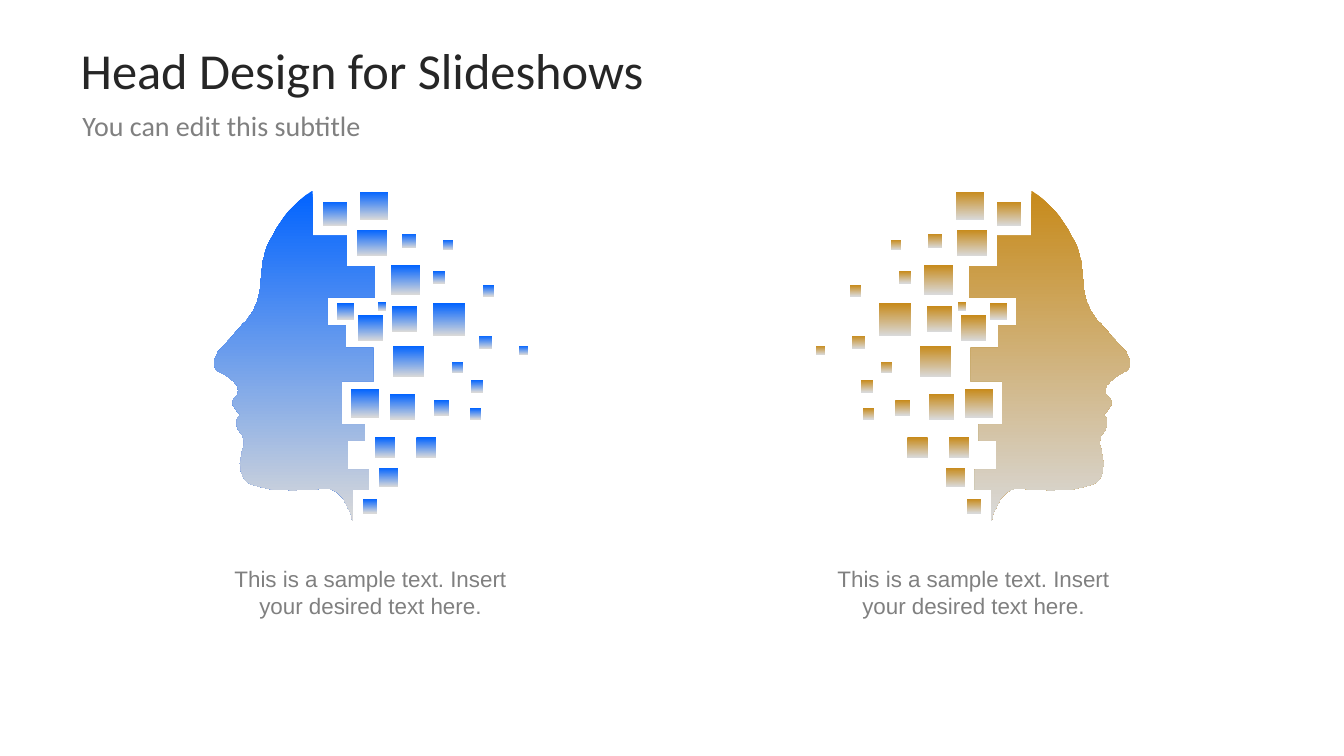
from pptx import Presentation
from pptx.dml.color import RGBColor
from pptx.enum.shapes import MSO_SHAPE as Shape
from pptx.enum.text import MSO_ANCHOR as Anchor, PP_ALIGN as Align
from pptx.util import Inches, Pt

# The slide is laid out on a grid of 1333 columns by 750 rows.
COLUMNS, ROWS = 1333, 750
CELL = Inches(0.01)
FADE = "D9D9D9"
GREY = "808080"


def fade_down(shape, hue):
    """Fill a borderless shape with a gradient from hue at the top to grey."""
    shape.shadow.inherit = False
    shape.line.fill.background()
    shape.fill.gradient()
    shape.fill.gradient_angle = 270
    for stop, colour in zip(shape.fill.gradient_stops, (hue, FADE)):
        stop.color.rgb = RGBColor.from_string(colour)


def write(text, left, top, width, height, size, font, hue, align=Align.LEFT):
    box = slide.shapes.add_textbox(*(CELL * n for n in (left, top, width, height)))
    frame = box.text_frame
    frame.word_wrap = True
    frame.text = text
    paragraph = frame.paragraphs[0]
    paragraph.alignment = align
    paragraph.font.size = Pt(size)
    paragraph.font.name = font
    paragraph.font.color.rgb = RGBColor.from_string(hue)
    return frame


# Each step of the torn edge goes down to a row, then across to a column.
crown, chin_row = (310, 189), 517
torn_steps = [
    (344, 234), (372, 264), (325, 295), (343, 323), (370, 345),
    (339, 378), (362, 421), (345, 437), (366, 466), (350, 486),
]
neck_and_jaw = [
    (349, 515), (349, 512), (348, 510), (347, 507), (345, 504), (344, 501),
    (342, 498), (341, 495), (339, 493), (337, 491), (334, 488), (332, 487),
    (330, 486), (327, 485), (316, 485), (312, 486), (295, 486), (291, 487),
    (286, 486), (272, 486), (267, 485), (263, 484), (258, 483), (255, 482),
    (251, 481), (248, 480), (245, 478), (243, 476), (241, 473), (240, 470),
    (239, 467), (239, 463), (238, 460), (239, 457), (239, 454), (240, 451),
    (240, 448), (241, 445), (242, 442), (242, 437), (241, 434), (241, 432),
    (239, 430), (237, 427),
]
lips_and_nose = [
    (236, 426), (236, 424), (235, 423), (235, 416), (236, 414), (237, 413),
    (239, 411), (238, 411), (237, 410), (236, 409), (235, 408), (234, 406),
    (233, 405), (232, 403), (231, 402), (231, 397), (232, 396), (232, 395),
    (233, 394), (234, 394), (234, 393), (235, 392), (236, 391), (236, 389),
    (237, 388), (236, 386), (236, 384), (235, 382), (235, 381), (234, 381),
    (233, 380), (232, 378), (230, 377), (228, 375), (225, 373), (222, 371),
    (218, 369), (216, 368), (214, 366), (213, 364), (212, 362), (212, 358),
    (213, 356), (214, 354), (215, 352), (216, 349), (218, 347),
]
brow_and_forehead = [
    (232, 332), (234, 329), (237, 326), (239, 324), (241, 321), (244, 319),
    (246, 316), (248, 313), (250, 310), (252, 307), (253, 304), (255, 300),
    (256, 296), (257, 292), (258, 287), (258, 282), (259, 276), (259, 271),
    (260, 266), (260, 261), (262, 255), (263, 250), (265, 244), (268, 238),
    (271, 233), (274, 227), (278, 221), (282, 215), (286, 210), (292, 204),
    (297, 199), (303, 194),
]
outline = [crown]
for column, row in torn_steps:
    outline += [(outline[-1][0], row), (column, row)]
outline += [(outline[-1][0], chin_row)]
outline += neck_and_jaw + lips_and_nose + brow_and_forehead

# Fragments: left, top, width, height
fragments = [
    (429, 301, 32, 32), (388, 263, 29, 29), (354, 228, 30, 26),
    (429, 269, 12, 12), (399, 232, 14, 14), (439, 238, 10, 10),
    (448, 359, 11, 11), (387, 391, 25, 25), (389, 304, 25, 25),
    (372, 434, 20, 20), (355, 313, 25, 25), (360, 495, 14, 14),
    (334, 301, 17, 16), (430, 397, 15, 15), (320, 200, 24, 24),
    (467, 377, 12, 12), (475, 333, 13, 13), (466, 405, 11, 11),
    (479, 283, 11, 11), (413, 434, 20, 20), (357, 190, 28, 28),
    (348, 386, 28, 28), (390, 343, 31, 31), (376, 464, 19, 19),
    (515, 343, 9, 9), (375, 300, 8, 8),
]

deck = Presentation()
deck.slide_width, deck.slide_height = CELL * COLUMNS, CELL * ROWS
slide = deck.slides.add_slide(deck.slide_layouts[6])

title = write("Head Design for Slideshows", 67, 30, 1200, 78, 36, "Calibri", "262626")
title.vertical_anchor = Anchor.MIDDLE
title.margin_left = title.margin_right = Inches(0.13)
title.margin_top = title.margin_bottom = Inches(0.07)

for hue, mirrored, caption_left in (("0163FF", False, 211), ("C78A1A", True, 809)):
    head = slide.shapes.add_group_shape().shapes
    points = [(COLUMNS - x if mirrored else x, y) for x, y in outline]
    profile = head.build_freeform(*points[0], scale=CELL)
    profile.add_line_segments(points[1:], close=True)
    fade_down(profile.convert_to_shape(), hue)

    for left, top, width, height in fragments:
        if mirrored:
            left = COLUMNS - left - width
        place = (CELL * n for n in (left, top, width, height))
        fade_down(head.add_shape(Shape.RECTANGLE, *place), hue)

    write("This is a sample text. Insert your desired text here.",
          caption_left, 556, 313, 64, 16, "Arial", GREY, Align.CENTER)

write("You can edit this subtitle", 72, 103, 434, 44, 20, "Calibri", GREY)

deck.save("out.pptx")
